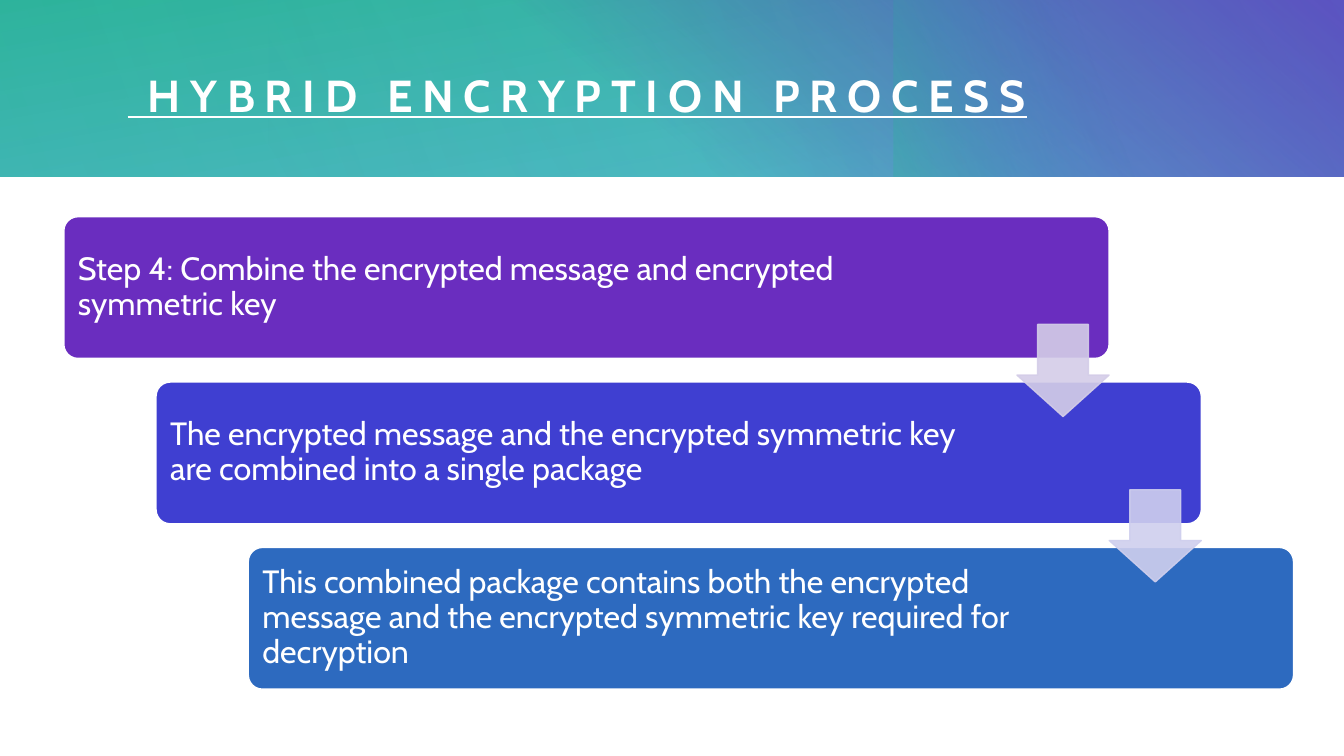
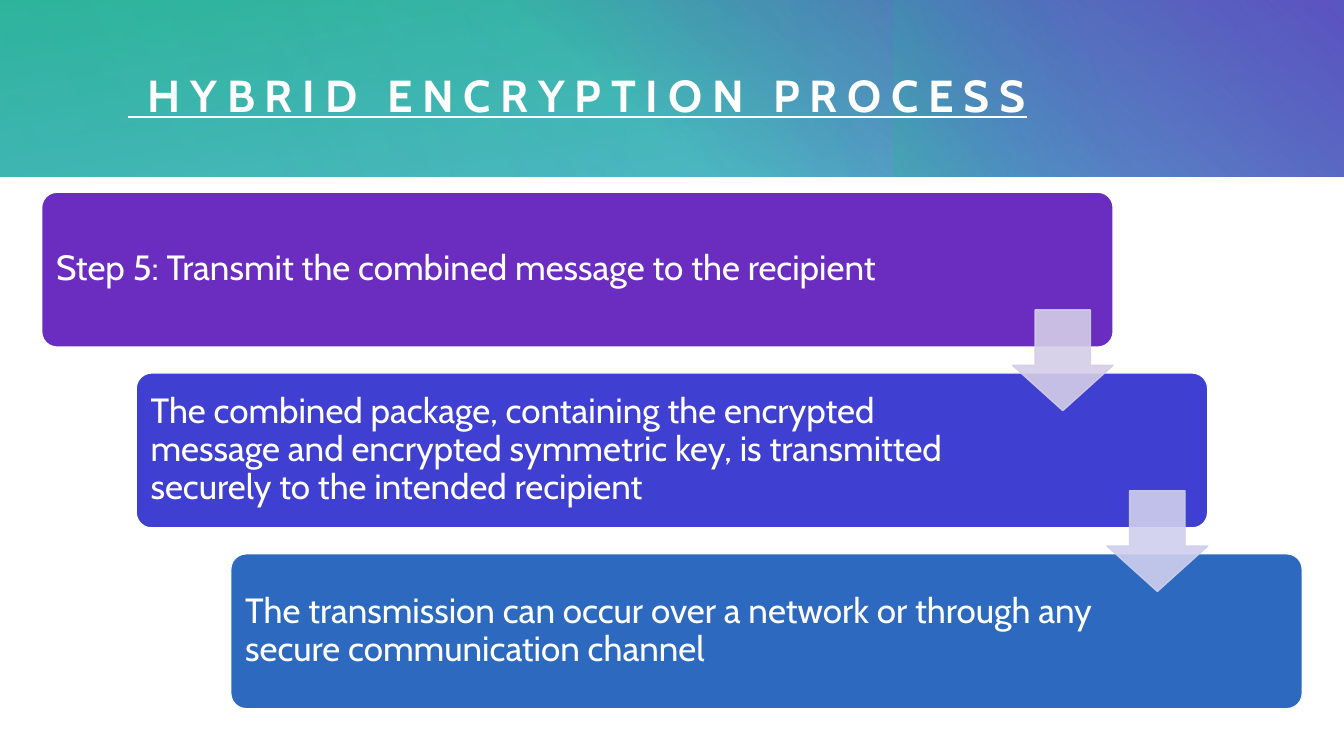
from dataclasses import dataclass

from pptx import Presentation
from pptx import util as u
from pptx.dml.color import RGBColor
from pptx.enum import shapes, text
from pptx.oxml import parse_xml
from pptx.oxml.ns import nsdecls, qn

# Grid: 200 columns by 120 rows
SLIDE_W, SLIDE_H = u.Emu(12192000), u.Emu(6858000)
COL, ROW = SLIDE_W / 200, SLIDE_H / 120
BAND_ROWS = 28

# Colours and type
FONT = "Cabin"
WHITE = RGBColor(0xFF, 0xFF, 0xFF)
PURPLE = RGBColor(0x6A, 0x2D, 0xBF)
INDIGO = RGBColor(0x3F, 0x3F, 0xD1)
BLUE = RGBColor(0x2D, 0x6A, 0xBF)
TEAL = RGBColor(0x3C, 0xAF, 0xC6)
GREEN = RGBColor(0x2B, 0xB6, 0x93)
LILAC = RGBColor(0xD4, 0xCD, 0xE8)
LAVENDER = RGBColor(0xCF, 0xCF, 0xEE)

TITLE = " HYBRID ENCRYPTION PROCESS"
STEP_COLOURS = (PURPLE, INDIGO, BLUE)
ARROW_COLOURS = (LILAC, LAVENDER)
TEXT_MARGINS = (0.15, 0.19, 0.19)  # right margin as a share of the step's width


@dataclass(frozen=True)
class Stop:
    position: int
    colour: RGBColor
    opacity: int = 100


@dataclass(frozen=True)
class Band:
    col: float
    cols: float
    start: Stop
    end: Stop
    angle: int
    rotation: int = 0


@dataclass(frozen=True)
class Staircase:
    col: float
    row: float
    cols: float
    rows: float
    size: int
    steps: tuple[str, str, str]


HEADER_BANDS = (
    Band(0, 200, Stop(0, TEAL, 83), Stop(100, GREEN), 260),
    Band(72, 128, Stop(22, PURPLE, 0), Stop(99, PURPLE), 310),
    Band(133, 56, Stop(45, BLUE, 0), Stop(99, GREEN, 33), 250, 270),
    Band(40, 160, Stop(0, TEAL, 30), Stop(99, TEAL, 0), 330, 180),
    Band(0, 130, Stop(0, TEAL, 21), Stop(99, TEAL, 0), 340),
)

STAIRCASES = (
    Staircase(9.5, 34.4, 183, 75, 23, (
        "Step 4: Combine the encrypted message and encrypted symmetric key",
        "The encrypted message and the encrypted symmetric key are combined "
        "into a single package",
        "This combined package contains both the encrypted message and the "
        "encrypted symmetric key required for decryption",
    )),
    Staircase(6.2, 30.5, 187.6, 82, 25, (
        "Step 5: Transmit the combined message to the recipient",
        "The combined package, containing the encrypted message and encrypted "
        "symmetric key, is transmitted securely to the intended recipient",
        "The transmission can occur over a network or through any secure "
        "communication channel",
    )),
)


def add_shape(slide, kind, left: float, top: float, width: float, height: float):
    shape = slide.shapes.add_shape(kind, *(u.Emu(round(v)) for v in (left, top, width, height)))
    shape.shadow.inherit = False
    return shape


def set_gradient(shape, band: Band) -> None:
    stops = "".join(
        f'<a:gs pos="{stop.position * 1000}"><a:srgbClr val="{stop.colour}">'
        f'<a:alpha val="{stop.opacity * 1000}"/></a:srgbClr></a:gs>'
        for stop in (band.start, band.end))
    shape.fill.background()
    no_fill = shape.element.spPr.find(qn("a:noFill"))
    no_fill.getparent().replace(no_fill, parse_xml(
        f'<a:gradFill {nsdecls("a")} rotWithShape="1"><a:gsLst>{stops}</a:gsLst>'
        f'<a:lin ang="{band.angle * 60000}" scaled="0"/></a:gradFill>'))


def set_opacity(shape, percent: int) -> None:
    for colour in shape.element.spPr.iter(qn("a:srgbClr")):
        colour.append(parse_xml(f'<a:alpha {nsdecls("a")} val="{percent * 1000}"/>'))


def add_text(frame, words: str, size: int):
    frame.word_wrap = True
    frame.auto_size = text.MSO_AUTO_SIZE.NONE
    frame.vertical_anchor = text.MSO_ANCHOR.MIDDLE
    paragraph = frame.paragraphs[0]
    paragraph.alignment = text.PP_ALIGN.LEFT
    run = paragraph.add_run()
    run.text = words
    run.font.name, run.font.size, run.font.color.rgb = FONT, u.Pt(size), WHITE
    return paragraph, run


def add_band(slide, band: Band) -> None:
    left, top, width, height = band.col * COL, 0, band.cols * COL, BAND_ROWS * ROW
    if band.rotation % 180:  # a quarter turn swaps the sides about the centre
        left, top = left + (width - height) / 2, (height - width) / 2
        width, height = height, width
    shape = add_shape(slide, shapes.MSO_SHAPE.RECTANGLE, left, top, width, height)
    shape.rotation = band.rotation
    shape.line.fill.background()
    set_gradient(shape, band)


def add_header(slide) -> None:
    for band in HEADER_BANDS:
        add_band(slide, band)
    title = slide.shapes.title
    slide.shapes.element.append(title.element)  # bring in front of the bands
    title.left, title.top = u.Emu(round(19 * COL)), u.Emu(round(6.5 * ROW))
    title.width, title.height = u.Emu(round(170 * COL)), u.Emu(17 * round(ROW))
    frame = title.text_frame
    frame.margin_left = frame.margin_right = frame.margin_top = frame.margin_bottom = 0
    _, run = add_text(frame, TITLE, 32)
    run.font.bold = run.font.underline = True
    run.font.element.set("spc", "700") if hasattr(run.font, "element") else \
        run._r.get_or_add_rPr().set("spc", "700")


def add_staircase(slide, stairs: Staircase) -> None:
    left, top = stairs.col * COL, stairs.row * ROW
    span, drop = stairs.cols * COL, stairs.rows * ROW
    width, height = 0.85 * span, 0.3 * drop
    shift, fall = 0.075 * span, 0.35 * drop

    # Steps
    for i, (words, colour, margin) in enumerate(zip(stairs.steps, STEP_COLOURS, TEXT_MARGINS)):
        step = add_shape(slide, shapes.MSO_SHAPE.ROUNDED_RECTANGLE,
                         left + i * shift, top + i * fall, width, height)
        step.adjustments[0] = 0.1
        step.fill.solid()
        step.fill.fore_color.rgb = colour
        step.line.color.rgb = WHITE
        step.line.width = u.Pt(1)
        frame = step.text_frame
        frame.margin_left = frame.margin_top = frame.margin_bottom = u.Inches(0.1)
        frame.margin_right = u.Emu(round(margin * width))
        paragraph, _ = add_text(frame, words, stairs.size)
        paragraph.line_spacing = 0.9

    # Arrows between the steps
    side = 0.65 * height
    for i, colour in enumerate(ARROW_COLOURS):
        arrow = add_shape(slide, shapes.MSO_SHAPE.DOWN_ARROW,
                          left + i * shift + width - side,
                          top + i * fall + 0.76 * height, side, side)
        arrow.adjustments[0], arrow.adjustments[1] = 0.55, 0.45
        arrow.fill.solid()
        arrow.fill.fore_color.rgb = colour
        arrow.line.color.rgb = colour
        arrow.line.width = u.Pt(1)
        set_opacity(arrow, 90)


def main() -> None:
    deck = Presentation()
    deck.slide_width, deck.slide_height = SLIDE_W, SLIDE_H
    title_only = deck.slide_layouts[5]
    for stairs in STAIRCASES:
        slide = deck.slides.add_slide(title_only)
        add_header(slide)
        add_staircase(slide, stairs)
    deck.save("out.pptx")


if __name__ == "__main__":
    main()
